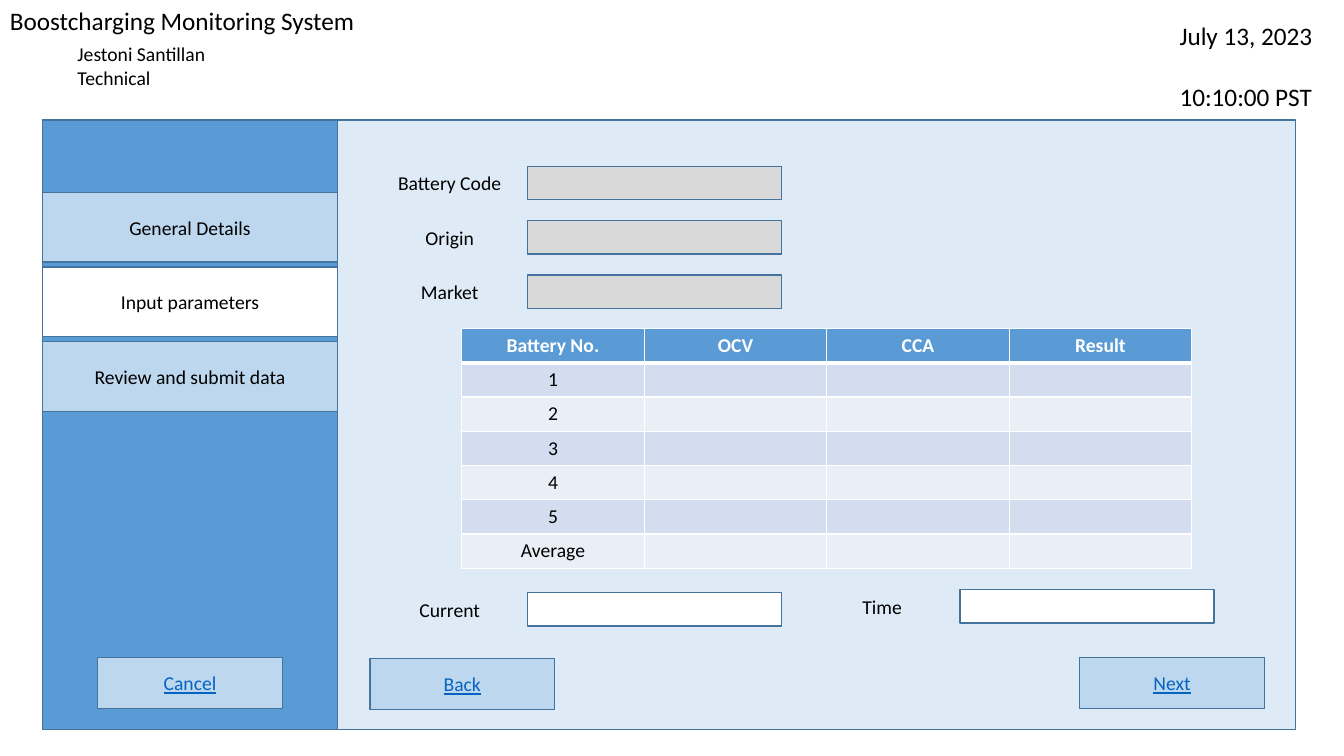
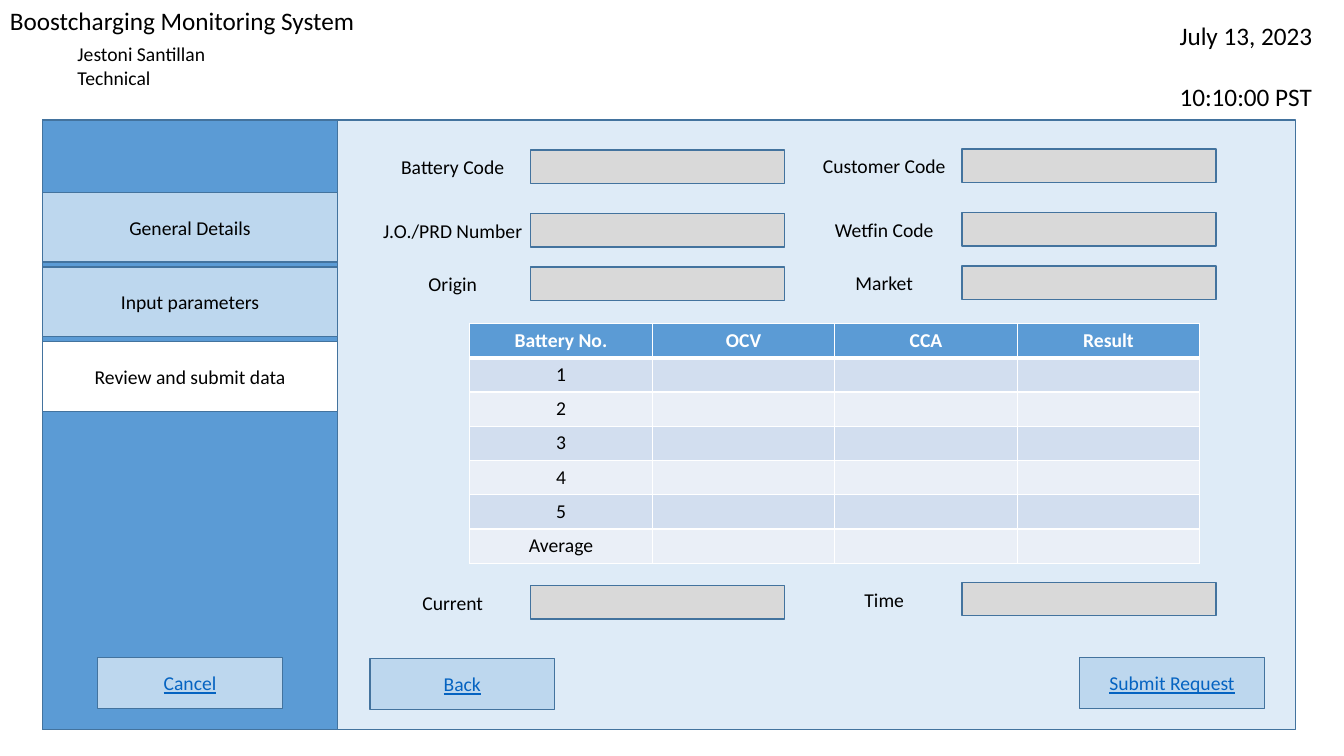
from dataclasses import dataclass

from lxml import etree
from pptx import Presentation
from pptx.dml.color import RGBColor
from pptx.enum.shapes import MSO_SHAPE
from pptx.enum.text import MSO_ANCHOR, PP_ALIGN
from pptx.oxml.ns import qn
from pptx.slide import Slide
from pptx.table import _Cell
from pptx.text.text import TextFrame, _Paragraph
from pptx.util import Emu, Pt

RECT = MSO_SHAPE.RECTANGLE
MIDDLE = MSO_ANCHOR.MIDDLE
LEFT, CENTER = PP_ALIGN.LEFT, PP_ALIGN.CENTER
EMU_PER_PX = 9144  # 100 px to the inch


@dataclass(frozen=True)
class Theme:
    font: str = "Calibri"
    heading: int = 18
    body: int = 14
    heading_line: int = 22
    border: int = 1
    header_border: int = 3
    text: str = "000000"
    white: str = "FFFFFF"
    link: str = "0563C1"
    outline: str = "43739E"
    panel: str = "DEEBF7"
    accent: str = "5B9BD5"
    button: str = "BDD7EE"
    locked: str = "D9D9D9"
    odd_row: str = "D2DEEF"
    even_row: str = "EAEFF7"


@dataclass(frozen=True)
class Box:
    x: int
    y: int
    w: int
    h: int


@dataclass(frozen=True)
class Field:
    label: str
    x: int
    y: int
    fill: str


@dataclass(frozen=True)
class Screen:
    active_tab: str
    fields: tuple[Field, ...]
    table_x: int
    table_y: int
    forward: str


T = Theme()
PANEL = Box(42, 119, 1243, 605)
SIDEBAR = Box(42, 119, 293, 605)
TABS = ("General Details", "Input parameters", "Review and submit data")
TAB_TOP, TAB_H, TAB_STEP = 191, 69, 74
FIELD_W, FIELD_H = 252, 33
LABEL_W, LABEL_H, LABEL_OFFSET = 198, 34, 176
BUTTON_W, BUTTON_H = 183, 51
COL_W, ROW_H = 181, 34
HEADERS = ("Battery No.", "OCV", "CCA", "Result")
ROW_NAMES = ("1", "2", "3", "4", "5", "Average")

SCREENS = (
    Screen(
        active_tab="Input parameters",
        fields=(
            Field("Battery Code", 523, 165, T.locked),
            Field("Origin", 523, 219, T.locked),
            Field("Market", 523, 273, T.locked),
            Field("Current", 523, 588, T.white),
            Field("Time", 952, 585, T.white),
        ),
        table_x=458,
        table_y=326,
        forward="Next",
    ),
    Screen(
        active_tab="Review and submit data",
        fields=(
            Field("Battery Code", 526, 149, T.locked),
            Field("Customer Code", 954, 148, T.locked),
            Field("J.O./PRD Number", 526, 212, T.locked),
            Field("Wetfin Code", 954, 211, T.locked),
            Field("Origin", 526, 265, T.locked),
            Field("Market", 954, 264, T.locked),
            Field("Current", 526, 581, T.locked),
            Field("Time", 954, 578, T.locked),
        ),
        table_x=466,
        table_y=321,
        forward="Submit Request",
    ),
)


def px(n: int) -> Emu:
    return Emu(n * EMU_PER_PX)


def place(box: Box) -> tuple[Emu, Emu, Emu, Emu]:
    return px(box.x), px(box.y), px(box.w), px(box.h)


def add_run(p: _Paragraph, text: str, size: int = T.body, color: str = T.text,
            bold: bool = False, underline: bool = False) -> None:
    r = p.add_run()
    r.text = text
    r.font.name = T.font
    r.font.size = Pt(size)
    r.font.color.rgb = RGBColor.from_string(color)
    r.font.bold = bold
    r.font.underline = underline


def add_rect(s: Slide, box: Box, fill: str) -> TextFrame:
    sp = s.shapes.add_shape(RECT, *place(box))
    sp.shadow.inherit = False
    sp.fill.solid()
    sp.fill.fore_color.rgb = RGBColor.from_string(fill)
    sp.line.color.rgb = RGBColor.from_string(T.outline)
    sp.line.width = Pt(T.border)
    return sp.text_frame


def add_caption_rect(s: Slide, box: Box, fill: str, text: str, link: bool = False) -> None:
    tf = add_rect(s, box, fill)
    tf.vertical_anchor = MIDDLE
    p = tf.paragraphs[0]
    p.alignment = CENTER
    add_run(p, text, color=T.link if link else T.text, underline=link)


def add_text(s: Slide, box: Box, align: PP_ALIGN = LEFT) -> TextFrame:
    """Add an empty wrapping text box, ready for runs."""
    tf = s.shapes.add_textbox(*place(box)).text_frame
    tf.word_wrap = True
    tf.paragraphs[0].alignment = align
    return tf


def add_header(s: Slide) -> None:
    title = add_text(s, Box(0, 0, 997, 40))
    add_run(title.paragraphs[0], "Boostcharging Monitoring System", T.heading)

    clock = add_text(s, Box(1160, 15, 169, 71))
    add_run(clock.paragraphs[0], "July 13, 2023", T.heading)
    p = clock.add_paragraph()
    p.space_before = Pt(T.heading_line)
    add_run(p, "10:10:00 PST", T.heading)

    p = add_text(s, Box(67, 37, 268, 57)).paragraphs[0]
    add_run(p, "Jestoni Santillan")
    p.add_line_break()
    add_run(p, "Technical")


def add_sidebar(s: Slide, active_tab: str) -> None:
    add_rect(s, SIDEBAR, T.accent)
    for i, tab in enumerate(TABS):
        box = Box(SIDEBAR.x, TAB_TOP + i * TAB_STEP, SIDEBAR.w, TAB_H)
        add_caption_rect(s, box, T.white if tab == active_tab else T.button, tab)


def add_field(s: Slide, field: Field) -> None:
    add_rect(s, Box(field.x, field.y, FIELD_W, FIELD_H), field.fill)
    label = add_text(s, Box(field.x - LABEL_OFFSET, field.y, LABEL_W, LABEL_H), CENTER)
    add_run(label.paragraphs[0], field.label)


def style_cell(cell: _Cell, fill: str, top: int, bottom: int) -> None:
    """Give a cell white borders, with top and bottom widths in points, and a fill."""
    tc_pr = cell._tc.get_or_add_tcPr()
    widths = {"L": T.border, "R": T.border, "T": top, "B": bottom}
    for side, width in widths.items():
        ln = etree.SubElement(tc_pr, qn(f"a:ln{side}"), w=str(Pt(width)))
        solid = etree.SubElement(ln, qn("a:solidFill"))
        etree.SubElement(solid, qn("a:srgbClr"), val=T.white)
    cell.fill.solid()
    cell.fill.fore_color.rgb = RGBColor.from_string(fill)


def add_readings_table(s: Slide, x: int, y: int) -> None:
    rows = [HEADERS] + [(name, "", "", "") for name in ROW_NAMES]
    box = Box(x, y, COL_W * len(HEADERS), ROW_H * len(rows))
    table = s.shapes.add_table(len(rows), len(HEADERS), *place(box)).table
    for i, row in enumerate(rows):
        head = i == 0
        fill = T.accent if head else T.odd_row if i % 2 else T.even_row
        top = T.header_border if i == 1 else T.border
        bottom = T.header_border if head else T.border
        for j, text in enumerate(row):
            cell = table.cell(i, j)
            style_cell(cell, fill, top, bottom)
            p = cell.text_frame.paragraphs[0]
            p.alignment = CENTER
            if text:
                add_run(p, text, color=T.white if head else T.text, bold=head)
            else:
                etree.SubElement(p._p, qn("a:endParaRPr"), sz=str(T.body * 100))


def add_buttons(s: Slide, forward: str) -> None:
    for text, x, y in (("Cancel", 97, 652), ("Back", 367, 653), (forward, 1071, 652)):
        add_caption_rect(s, Box(x, y, BUTTON_W, BUTTON_H), T.button, text, link=True)


def main() -> None:
    prs = Presentation()
    prs.slide_width, prs.slide_height = px(1333), px(750)
    blank = prs.slide_layouts[6]
    for screen in SCREENS:
        s = prs.slides.add_slide(blank)
        add_header(s)
        add_rect(s, PANEL, T.panel)
        add_sidebar(s, screen.active_tab)
        for field in screen.fields:
            add_field(s, field)
        add_readings_table(s, screen.table_x, screen.table_y)
        add_buttons(s, screen.forward)
    prs.save("out.pptx")


if __name__ == "__main__":
    main()
